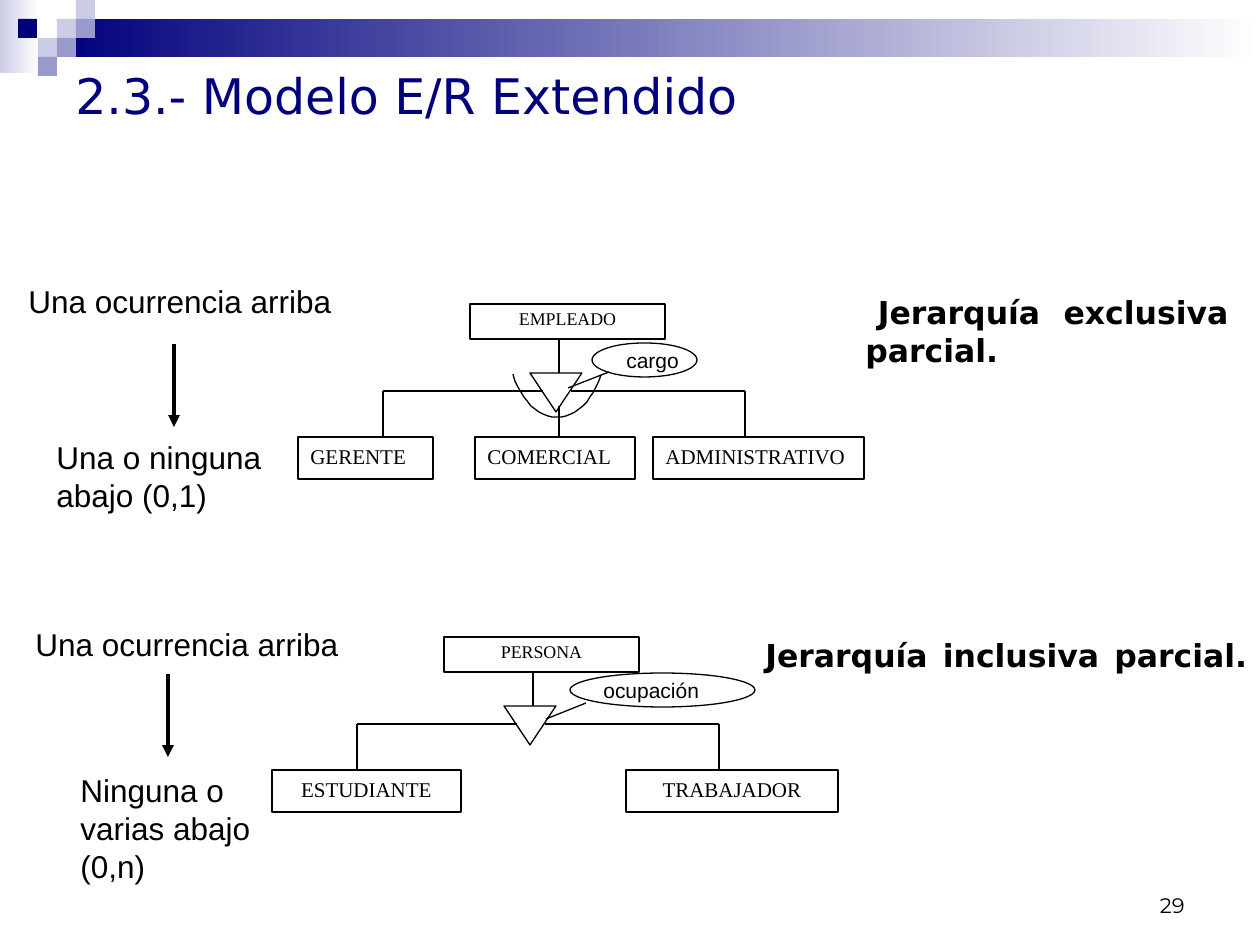
from pptx import Presentation
from pptx.util import Emu, Pt
from pptx.dml.color import RGBColor
from pptx.enum.shapes import MSO_CONNECTOR, MSO_SHAPE
from pptx.enum.text import MSO_ANCHOR, PP_ALIGN
from pptx.oxml.ns import qn
from lxml.etree import SubElement

PX = 914400 / 126
NAVY, LILAC, VIOLET = "00007D", "CCCCE6", "9999CC"
SERIF, SANS, DEJAVU = "Times New Roman", "Arial", "DejaVu Sans"
LEFT, CENTER, RIGHT = PP_ALIGN.LEFT, PP_ALIGN.CENTER, PP_ALIGN.RIGHT
JUSTIFY, MIDDLE = PP_ALIGN.JUSTIFY, MSO_ANCHOR.MIDDLE

# Content: boxes are (left, top, width, height) in px
GRADIENTS = [((0, 0, 39, 73), LILAC), ((57, 19, 1203, 38), NAVY)]
SQUARE = 19
SQUARES = [(57, 19, LILAC), (76, 0, LILAC), (76, 19, VIOLET), (38, 38, LILAC),
           (18, 19, NAVY), (57, 38, VIOLET), (38, 57, VIOLET)]

HEADING = dict(font=DEJAVU, bold=True, align=JUSTIFY, anchor=MIDDLE)
TEXTS = [
    ("2.3.- Modelo E/R Extendido", (63, 63, 1134, 63),
     dict(size=28, font=DEJAVU, color=NAVY, anchor=MIDDLE)),
    ("29", (903, 861, 294, 63),
     dict(size=12, font="Montserrat", align=RIGHT, anchor=MSO_ANCHOR.BOTTOM)),
    (" Jerarquía exclusiva parcial. ", (779, 287, 462, 88),
     dict(HEADING, margin=74, indent=-11)),
    ("Jerarquía inclusiva parcial. ", (690, 630, 570, 50), dict(HEADING, margin=63)),
    ("Una ocurrencia arriba", (16, 276, 372, 50), {}),
    ("Una o ninguna abajo (0,1)", (44, 432, 291, 88), {}),
    ("Una ocurrencia arriba", (23, 619, 348, 50), {}),
    ("Ninguna o varias abajo (0,n)", (68, 765, 233, 126), {}),
]
ARROWS = [(174, 344, 83), (168, 674, 83)]  # x, top, length

# Each hierarchy: offset, parent, children (text, left, width), alignment, callout
HIERARCHIES = [
    dict(dx=0, dy=0, parent="EMPLEADO", align=LEFT, exclusive=True,
         children=[("GERENTE", 298, 135), ("COMERCIAL", 475, 160),
                   ("ADMINISTRATIVO", 653, 211)],
         label="cargo", label_box=(614, 341, 82, 38),
         oval=(592, 343, 105, 34), tail=(609, 372, 568, 388)),
    dict(dx=-26, dy=333, parent="PERSONA", align=CENTER, exclusive=False,
         children=[("ESTUDIANTE", 272, 189), ("TRABAJADOR", 626, 212)],
         label="ocupación", label_box=(591, 671, 152, 38),
         oval=(570, 673, 185, 34), tail=(586, 703, 546, 719)),
]
ARC = [[(601, 375), (593, 401), (576, 417), (557, 417)],
       [(557, 417), (538, 417), (522, 401), (513, 374)]]

prs = Presentation()
prs.slide_width, prs.slide_height = Emu(9144000), Emu(6858000)
s = prs.slides.add_slide(prs.slide_layouts[6])


def px(*values):
    return [Emu(round(v * PX)) for v in values]


def rgb(hex_color):
    return RGBColor.from_string(hex_color)


def write(sp, text, size=18, font=SANS, color="000000", bold=False, align=LEFT,
          anchor=MSO_ANCHOR.TOP, margin=0, indent=0, spacing=None):
    tf = sp.text_frame
    tf.word_wrap = True
    tf.vertical_anchor = anchor
    p = tf.paragraphs[0]
    p.alignment = align
    if spacing:
        p.line_spacing = spacing
    if margin:
        pPr = p._p.get_or_add_pPr()
        pPr.set("marL", str(px(margin)[0]))
        pPr.set("indent", str(px(indent)[0]))
    r = p.add_run()
    r.text = text
    f = r.font
    f.size, f.name, f.bold = Pt(size), font, bold
    f.color.rgb = rgb(color)


def add_text(text, box, **fmt):
    write(s.shapes.add_textbox(*px(*box)), text, **fmt)


def style(sp, fill=None, outline=True):
    sp.shadow.inherit = False
    if fill:
        sp.fill.solid()
        sp.fill.fore_color.rgb = rgb(fill)
    else:
        sp.fill.background()
    if outline:
        sp.line.color.rgb = rgb("000000")
        sp.line.width = Pt(0.75)
    else:
        sp.line.fill.background()
    return sp


def add_shape(kind, box, fill=None, outline=True):
    return style(s.shapes.add_shape(kind, *px(*box)), fill, outline)


def add_line(x1, y1, x2, y2, width=0.75, arrow=False):
    c = s.shapes.add_connector(MSO_CONNECTOR.STRAIGHT, *px(x1, y1, x2, y2))
    c.line.color.rgb = rgb("000000")
    c.line.width = Pt(width)
    if arrow:
        SubElement(c.line._get_or_add_ln(), qn("a:tailEnd"), type="triangle")
    SubElement(c._element.spPr, qn("a:effectLst"))


def add_arc(curves, steps=12):
    points = [curves[0][0]]
    for a, b, c, d in curves:
        for i in range(1, steps + 1):
            t = i / steps
            weights = (1 - t) ** 3, 3 * t * (1 - t) ** 2, 3 * t * t * (1 - t), t ** 3
            points.append(tuple(sum(w * q[k] for w, q in zip(weights, (a, b, c, d)))
                                for k in (0, 1)))
    builder = s.shapes.build_freeform(*points[0], scale=PX)
    builder.add_line_segments(points[1:], close=False)
    style(builder.convert_to_shape())


def add_hierarchy(dx, dy, parent, children, align, exclusive, label, label_box, oval, tail):
    def line(x1, y1, x2, y2):
        add_line(x1 + dx, y1 + dy, x2 + dx, y2 + dy)

    # Entities
    sp = add_shape(MSO_SHAPE.RECTANGLE, (470 + dx, 304 + dy, 195, 35), "FFFFFF")
    write(sp, parent, size=10.2, font=SERIF, align=CENTER, spacing=0.9)
    for name, left, width in children:
        sp = add_shape(MSO_SHAPE.RECTANGLE, (left, 437 + dy, width, 42), "FFFFFF")
        write(sp, name, size=12, font=SERIF, align=align)
    # Triangle and branches
    add_shape(MSO_SHAPE.FLOWCHART_MERGE, (530 + dx, 373 + dy, 52, 39), "FFFFFF")
    line(559, 373, 559, 339)
    for outer, inner in ((383, 543), (745, 571)):
        line(outer, 391, inner, 391)
        line(outer, 391, outer, 437)
    if exclusive:
        line(559, 406, 559, 437)
        add_arc(ARC)
    # Discriminating attribute
    add_line(*tail)
    add_shape(MSO_SHAPE.OVAL, oval)
    add_text(label, label_box, size=12)


# Header decoration
for box, color in GRADIENTS:
    sp = add_shape(MSO_SHAPE.RECTANGLE, box, outline=False)
    sp.fill.gradient()
    sp.fill.gradient_angle = 0
    for stop, position, stop_color in zip(sp.fill.gradient_stops, (0, 1), (color, "FFFFFF")):
        stop.position = position
        stop.color.rgb = rgb(stop_color)
for x, y, color in SQUARES:
    add_shape(MSO_SHAPE.RECTANGLE, (x, y, SQUARE, SQUARE), color, outline=False)

# Title, captions and page number
for text, box, fmt in TEXTS:
    add_text(text, box, **fmt)
for x, top, length in ARROWS:
    add_line(x, top, x, top + length, width=2.25, arrow=True)

# Diagrams
for hierarchy in HIERARCHIES:
    add_hierarchy(**hierarchy)

prs.save("out.pptx")
